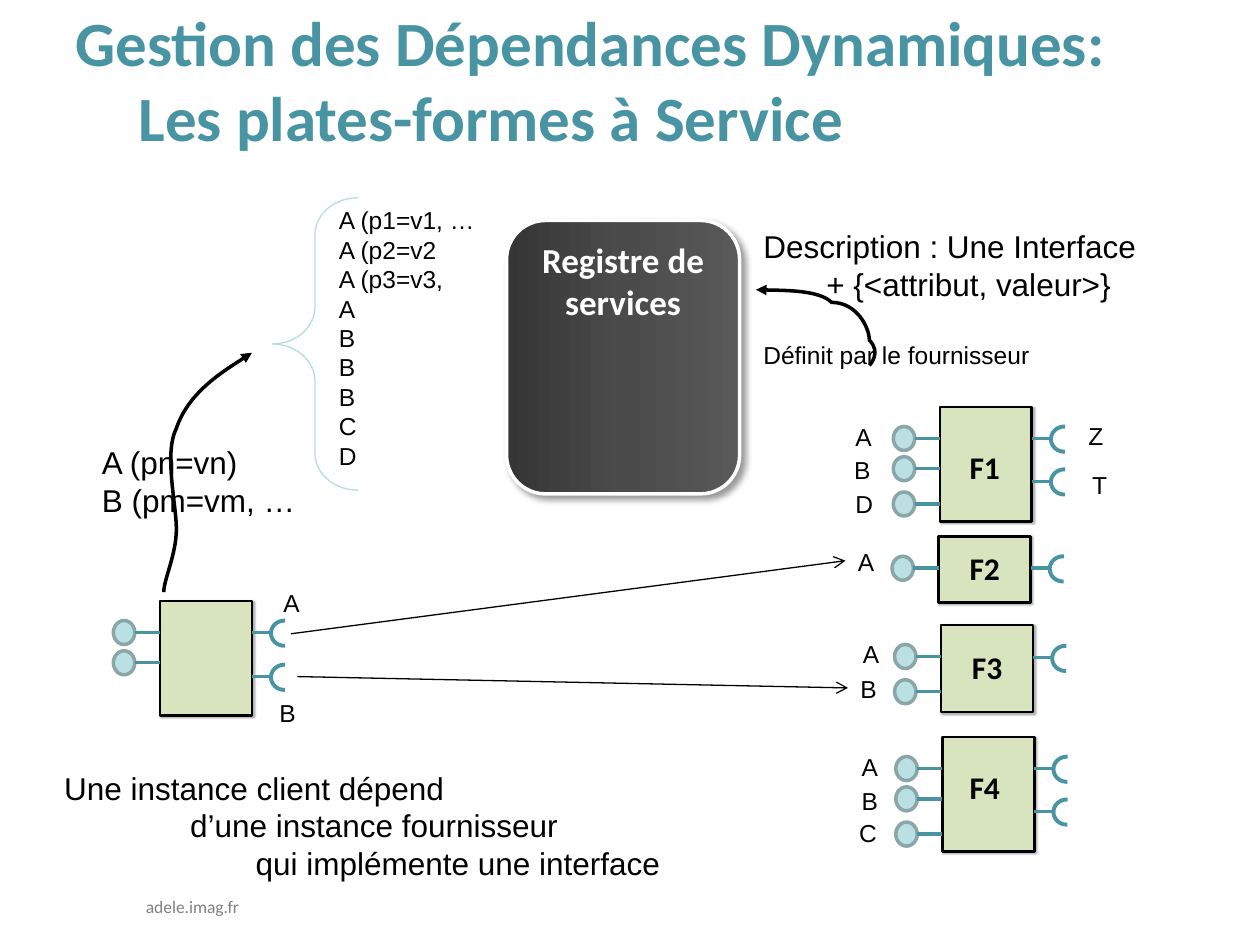
"""Build the slide on dynamic dependencies between service instances."""
import copy

import pptx
import pptx.dml.color
import pptx.enum.shapes
import pptx.enum.text
import pptx.oxml
import pptx.oxml.ns
import pptx.util

HUES = {"teal": "4894A3", "green": "D7E4BD", "pale": "BBE0E3", "rim": "8AA6A8",
        "brace": "B6DCDF", "black": "000000", "white": "FFFFFF", "gray": "808080",
        "dark": "353535", "mid": "4B4B4B", "light": "595959"}
RGB = {name: pptx.dml.color.RGBColor.from_string(hue) for name, hue in HUES.items()}
Pt = pptx.util.Pt
KIND = pptx.enum.shapes.MSO_SHAPE
LINK = pptx.enum.shapes.MSO_CONNECTOR
ALIGN = pptx.enum.text.PP_ALIGN
FIT = pptx.enum.text.MSO_AUTO_SIZE
qn = pptx.oxml.ns.qn
NS = pptx.oxml.ns.nsdecls("a")

deck = pptx.Presentation()
deck.slide_width = pptx.util.Inches(10)
deck.slide_height = pptx.util.Inches(7.5)
cell = deck.slide_width / 100  # 100 columns by 75 rows
slide = deck.slides.add_slide(deck.slide_layouts[5])
shapes = slide.shapes


def draw(kind, spot, fill, line, width, shade=None):
    """Add a shape at a grid spot; shade is alpha, blur and distance."""
    shape = shapes.add_shape(kind, *[int(v * cell) for v in spot])
    if fill:
        shape.fill.solid()
        shape.fill.fore_color.rgb = RGB[fill]
    else:
        shape.fill.background()
    shape.line.color.rgb = RGB[line]
    shape.line.width = Pt(width)
    shape.shadow.inherit = False
    if shade:
        alpha, blur, dist = shade
        shape._element.spPr.find(qn("a:effectLst")).append(pptx.oxml.parse_xml(
            f'<a:outerShdw {NS} blurRad="{Pt(blur)}" dist="{Pt(dist)}" dir="2700000" '
            f'algn="tl" rotWithShape="0"><a:srgbClr val="{HUES["black"]}">'
            f'<a:alpha val="{alpha * 1000}"/></a:srgbClr></a:outerShdw>'))
    return shape


def write(spot, text, size, face="Arial", hue="black", bold=False, align=ALIGN.LEFT):
    """Add a text box at a grid spot and return its frame."""
    frame = shapes.add_textbox(*[int(v * cell) for v in spot]).text_frame
    frame.word_wrap = False
    frame.auto_size = FIT.SHAPE_TO_FIT_TEXT
    frame.text = text
    for para in frame.paragraphs:
        para.alignment = align
        para.font.name, para.font.size, para.font.bold = face, Pt(size), bold
        para.font.color.rgb = RGB[hue]
    return frame


write((10.6, 70.6, 9.4, 2.7), "adele.imag.fr", 10, "Calibri", "gray")

title = shapes.title
title.left, title.top, title.width, title.height = [
    int(v * cell) for v in (5, 0, 90, 12.5)]
frame = title.text_frame
frame.text = "Gestion des Dépendances Dynamiques:\v\tLes plates-formes à Service"
frame.auto_size = FIT.NONE
frame.vertical_anchor = pptx.enum.text.MSO_ANCHOR.MIDDLE
head = frame.paragraphs[0]
head.alignment = ALIGN.LEFT
head.font.name, head.font.size, head.font.bold = "Calibri", Pt(36), True
head.font.color.rgb = RGB["teal"]

store = draw(KIND.ROUNDED_RECTANGLE, (40.2, 17.5, 18.5, 21.7), "dark", "white", 2,
             (40, 4, 3))
store.fill.gradient()
store.fill.gradient_angle = 0
stops = store._element.spPr.find(qn("a:gradFill")).find(qn("a:gsLst"))
stops.insert(1, copy.deepcopy(stops[0]))
for stop, hue, spot in zip(store.fill.gradient_stops, ("dark", "mid", "light"), (0, .5, 1)):
    stop.color.rgb = RGB[hue]
    stop.position = spot
frame = store.text_frame
frame.text = "Registre de services"
frame.vertical_anchor = pptx.enum.text.MSO_ANCHOR.TOP
label = frame.paragraphs[0]
label.alignment = ALIGN.CENTER
label.font.name, label.font.size, label.font.bold = "Calibri", Pt(20), True
label.font.color.rgb = RGB["white"]

frame = write((59.6, 17.5, 34.9, 12.5), "Description : Une Interface\n"
              "\t+ {<attribut, valeur>}\nDéfinit par le fournisseur", 18)
frame.paragraphs[2].space_before = Pt(21.6)
frame.paragraphs[2].font.size = Pt(14)

units = [  # left, top, height, input rows, output rows
    (74.5, 42.6, 5.2, (2.5,), (2.5,)),
    (74.7, 49.6, 6.9, (2.5, 5.3), (2.6,)),
    (74.8, 58.5, 9.1, (2.5, 4.9, 7.7), (2.5, 5.9)),
    (12.7, 47.7, 9.1, (2.5, 4.9), (2.5, 6)),
    (74.6, 32.3, 9.1, (2.5, 4.9, 7.7), (2.5, 5.9)),
]
wires = []
for left, top, high, ins, outs in units:
    draw(KIND.RECTANGLE, (left, top, 7.3, high), "green", "black", 1.5, (30, 1, 1))
    for gap in ins:
        y = top + gap
        ball = draw(KIND.OVAL, (left - 3.8, y - .85, 1.9, 1.7), "pale", "rim", 2)
        ball.rotation = 270
        wires.append((LINK.ELBOW, left - 2, y, left, y, "teal", 2))
    for gap in outs:
        y = top + gap
        cup = draw(KIND.ARC, (left + 8.8, y - .95, 2.1, 2), None, "teal", 2.25)
        cup.adjustments[0], cup.adjustments[1] = 159.76, 56.69
        cup.rotation = 180
        wires.append((LINK.ELBOW, left + 8.7, y, left + 7.3, y, "teal", 2))

marks = [
    ("A", 66.9, 33), ("A", 67.1, 42.9), ("A", 67.5, 50.2), ("A", 67.4, 59.2),
    ("B", 66.8, 35.6), ("B", 67.3, 53), ("B", 67.4, 61.9), ("D", 66.9, 38.3),
    ("C", 67.2, 64.4), ("A", 21.5, 46.2), ("B", 21.2, 54.9),
    ("Z", 85.4, 32.9), ("T", 85.7, 36.8),
]
for mark, x, y in marks:
    write((x, y, 3.3, 3.4), mark, 14)
for name, x, y in (("F2", 75.9, 43.1), ("F3", 76.1, 50.9),
                   ("F4", 75.9, 60.5), ("F1", 75.9, 35.1)):
    write((x, y, 4.5, 4), name, 18, "Calibri", bold=True, align=ALIGN.CENTER)

write((25.9, 15.8, 12.9, 22.2),
      "A (p1=v1, …\nA (p2=v2\nA (p3=v3,\nA\nB\nB\nB\nC\nD", 14)
write((7.1, 34.7, 17.5, 7.1), "A (pn=vn)\nB (pm=vm, …", 18)
brace = draw(KIND.LEFT_BRACE, (21.6, 15.7, 6.8, 23.2), None, "brace", .75)
brace.adjustments[0], brace.adjustments[1] = .43, .5

wires += [(LINK.STRAIGHT, 23.1, 50.3, 67.1, 44.5, "black", .75),
          (LINK.STRAIGHT, 23.6, 53.7, 67.3, 54.6, "black", .75)]
for kind, *ends, hue, width in wires:
    wire = shapes.add_connector(kind, *[int(v * cell) for v in ends])
    wire.line.color.rgb = RGB[hue]
    wire.line.width = Pt(width)
    wire._element.spPr.append(pptx.oxml.parse_xml(f"<a:effectLst {NS}/>"))
    if kind == LINK.STRAIGHT:
        wire.line._get_or_add_ln().append(
            pptx.oxml.parse_xml(f'<a:tailEnd {NS} type="arrow"/>'))

curves = [
    [(13.4, 47.1), (13.4, 45.6), (13.5, 44.1), (13.6, 41.8), (13.7, 39.6),
     (12.9, 35.9), (14, 33.6), (15.1, 31.4), (20, 28.3), (20.1, 28.3)],
    [(69.1, 29.4), (69.4, 28.6), (69.6, 27.8), (69.1, 26.9), (68.7, 26),
     (68, 24.5), (66.4, 23.9), (64.8, 23.2), (59.7, 22.9), (59.6, 22.9)],
]
for first, *rest in curves:
    pen = shapes.build_freeform(*first, scale=cell)
    pen.add_line_segments(rest, close=False)
    curve = pen.convert_to_shape()
    curve.fill.background()
    curve.line.color.rgb = RGB["black"]
    curve.line.width = Pt(2)
    curve.shadow.inherit = False
    curve.line._get_or_add_ln().append(
        pptx.oxml.parse_xml(f'<a:tailEnd {NS} type="triangle"/>'))
    track = next(curve._element.spPr.iter(qn("a:path")))
    steps = track.findall(qn("a:lnTo"))
    for i in range(0, len(steps), 3):
        bend = pptx.oxml.parse_xml(f"<a:cubicBezTo {NS}/>")
        for step in steps[i:i + 3]:
            bend.append(step[0])
            track.remove(step)
        track.append(bend)

frame = write((4.1, 60.5, 49.8, 10.1), "Une instance client dépend\n"
              "d’une instance fournisseur\nqui implémente une interface", 18)
for para, inset in zip(frame.paragraphs, (0, 10, 15.2)):
    para._p.get_or_add_pPr().set("marL", str(int(inset * cell)))

deck.save("out.pptx")
